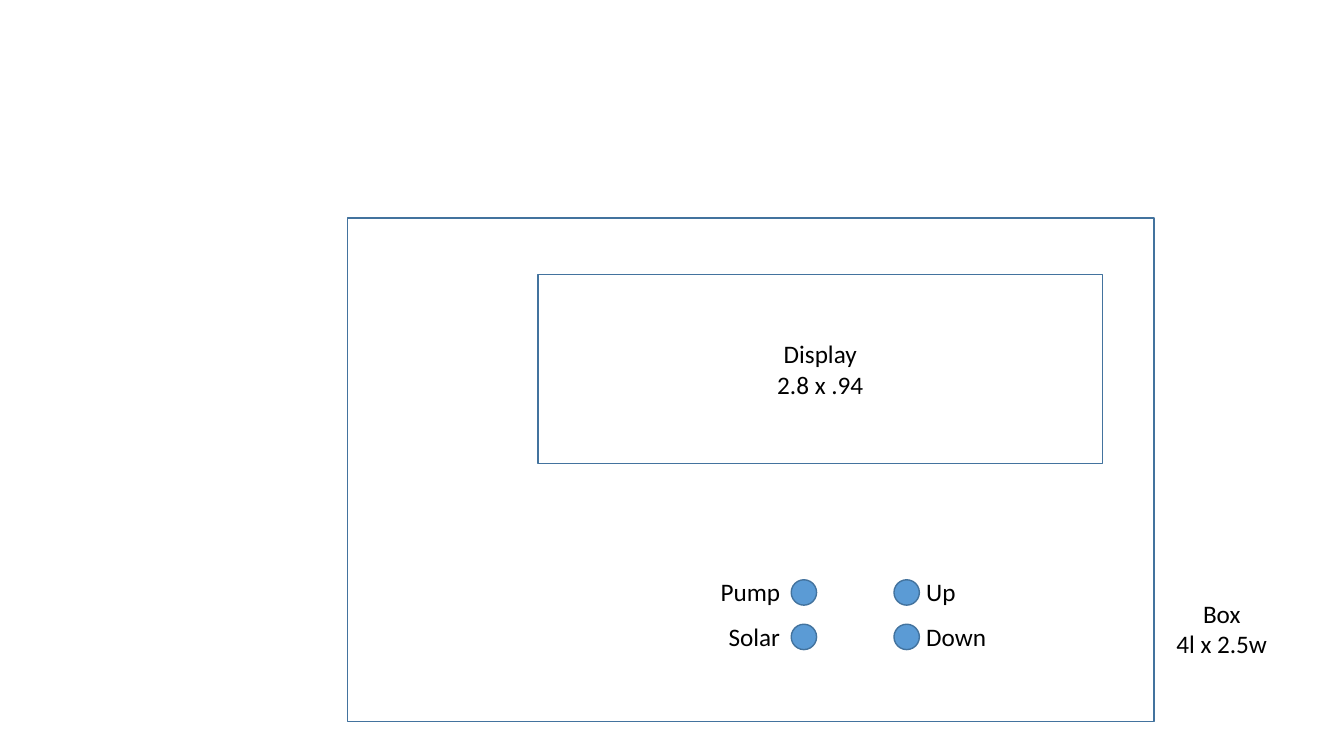
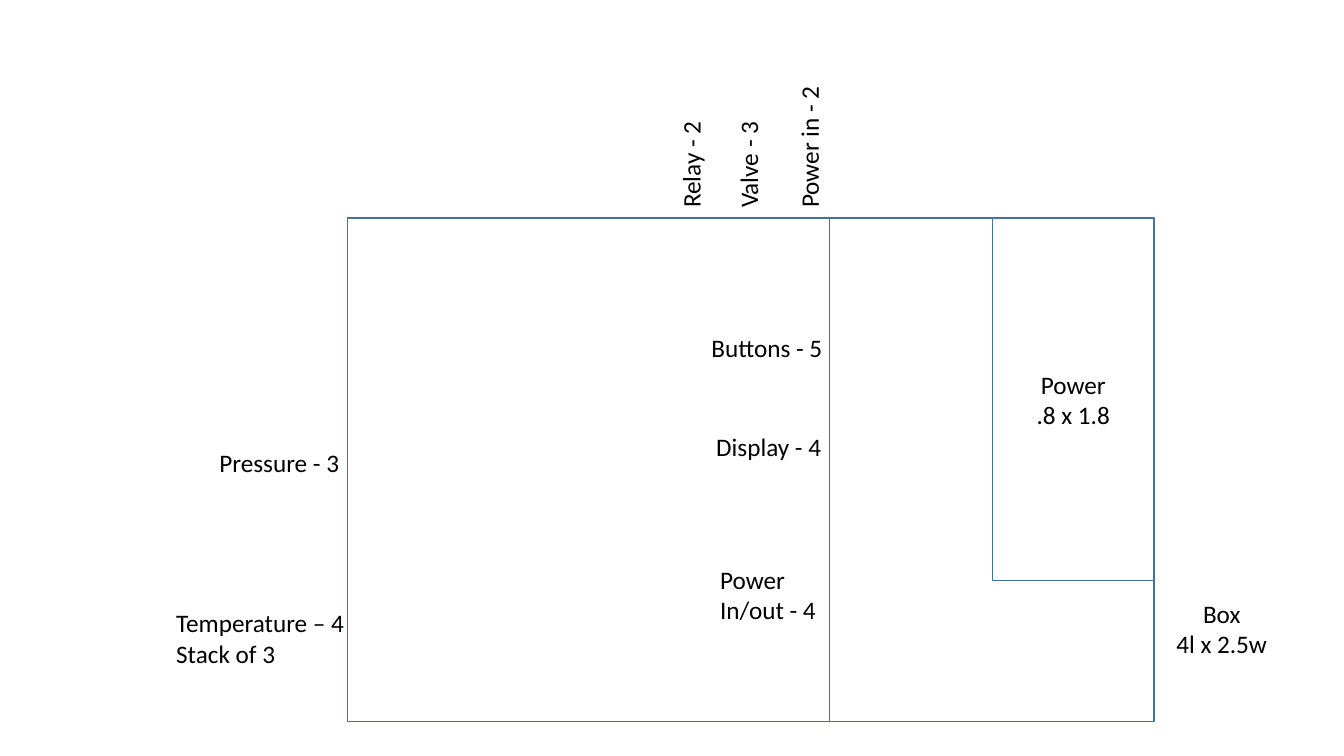
import pptx
import pptx.util
import pptx.dml.color
import pptx.enum.shapes
import pptx.enum.text

Cm = pptx.util.Cm
SHAPE = pptx.enum.shapes.MSO_SHAPE
ALIGN = pptx.enum.text.PP_ALIGN

COLORS = {"line": "43739E", "dot": "5B9BD5", "text": "000000"}
FONT, SIZE = "Calibri", 18
SCALE = 5.08  # drawn centimetres for each real inch
LEFT, TOP = 8.76, 5.49
WIDE, HIGH = 4 * SCALE, 2.5 * SCALE
DOT, STEP = 0.64, 1.12


def color(name):
    return pptx.dml.color.RGBColor.from_string(COLORS[name])


def write(frame, text, align):
    frame.text = text
    for para in frame.paragraphs:
        para.alignment = align
        para.font.name = FONT
        para.font.size = pptx.util.Pt(SIZE)
        para.font.color.rgb = color("text")


def outline(shapes, kind, left, top, width, height, fill=None, text=""):
    shape = shapes.add_shape(kind, Cm(left), Cm(top), Cm(width), Cm(height))
    shape.shadow.inherit = False
    shape.line.color.rgb = color("line")
    shape.line.width = pptx.util.Pt(1)
    if fill:
        shape.fill.solid()
        shape.fill.fore_color.rgb = color(fill)
    else:
        shape.fill.background()
    if text:
        write(shape.text_frame, text, ALIGN.CENTER)


def label(shapes, text, left, top, width, align=ALIGN.LEFT):
    height = 1.8 if "\n" in text else 1.03
    box = shapes.add_textbox(Cm(left), Cm(top), Cm(width), Cm(height))
    frame = box.text_frame
    frame.word_wrap = False
    frame.auto_size = pptx.enum.text.MSO_AUTO_SIZE.SHAPE_TO_FIT_TEXT
    write(frame, text, align)
    return box


def upright(shapes, text, center, foot, width):
    """Label read from bottom to top, ending at foot."""
    box = label(shapes, text, center - width / 2, 0, width)
    box.top = Cm(foot - width / 2) - box.height // 2
    box.rotation = 270


def case(shapes, left, top):
    outline(shapes, SHAPE.RECTANGLE, left, top, WIDE, HIGH)
    label(shapes, "Box\n4l x 2.5w", left + 20.62, top + 9.45, 2.82, ALIGN.CENTER)


def buttons(shapes, left, top, names, before):
    """Grouped column of buttons, with names before or after them."""
    group = shapes.add_group_shape().shapes
    for row in range(len(names)):
        outline(group, SHAPE.OVAL, left, top + row * STEP, DOT, DOT, "dot")
    for row, (name, width) in enumerate(names):
        start = left - width if before else left + 0.56
        label(group, name, start, top + row * STEP - 0.2, width)


def front(shapes, left, top):
    case(shapes, left, top)
    outline(shapes, SHAPE.RECTANGLE, left + 4.8, top + 1.42,
            2.8 * SCALE, 0.94 * SCALE, text="Display\n2.8 x .94")
    buttons(shapes, left + 13.77, top + 9.12,
            [("Up", 1.27), ("Down", 2.03)], False)
    buttons(shapes, left + 11.18, top + 9.12,
            [("Pump", 2.03), ("Solar", 1.83)], True)


def inside(shapes, left, top):
    case(shapes, left, top)
    power = 0.8 * SCALE
    outline(shapes, SHAPE.RECTANGLE, left + WIDE - power, top,
            power, 1.8 * SCALE, text="Power\n.8 x 1.8")
    outline(shapes, SHAPE.RECTANGLE, left, top, 2.39 * SCALE, HIGH)
    for text, center, width in [
        ("Power in - 2", 11.63, 3.61),
        ("Valve - 3", 10.1, 2.72),
        ("Relay - 2", 8.65, 2.72),
    ]:
        upright(shapes, text, left + center, top, width)
    for text, across, down, width in [
        ("Temperature – 4\nStack of 3", -4.57, 9.7, 4.8),
        ("Pressure - 3", -3.48, 5.66, 3.56),
        ("Display - 4", 9.04, 5.26, 3.2),
        ("Power\nIn/out - 4", 9.14, 8.61, 2.95),
        ("Buttons - 5", 8.92, 2.77, 3.35),
    ]:
        label(shapes, text, left + across, top + down, width)


def main():
    deck = pptx.Presentation()
    deck.slide_width, deck.slide_height = Cm(33.87), Cm(19.05)
    for draw in (front, inside):
        slide = deck.slides.add_slide(deck.slide_layouts[6])
        draw(slide.shapes, LEFT, TOP)
    deck.save("out.pptx")


if __name__ == "__main__":
    main()
